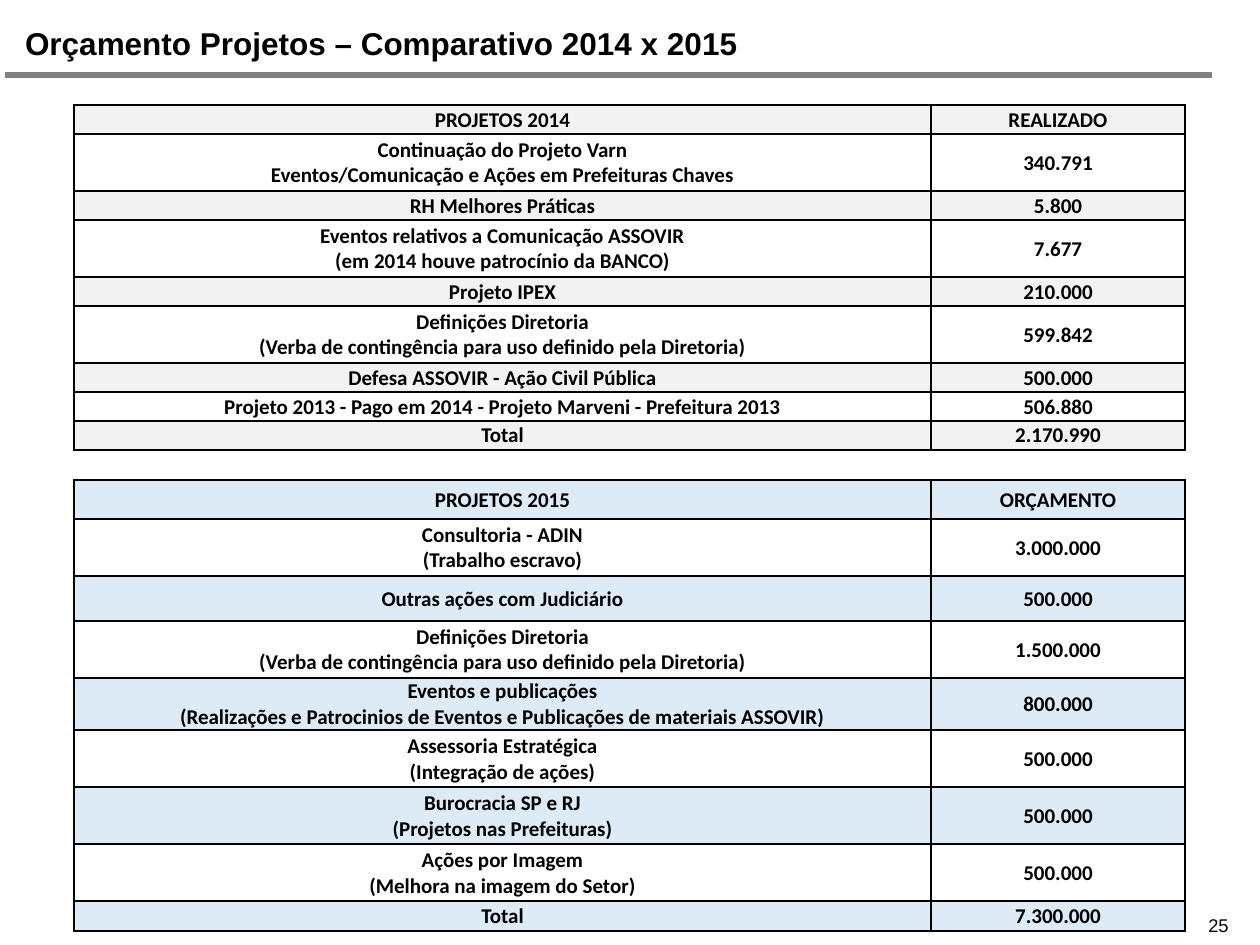
from lxml import etree
from pptx import Presentation
from pptx.dml.color import RGBColor
from pptx.enum.shapes import MSO_CONNECTOR
from pptx.enum.text import MSO_ANCHOR, PP_ALIGN
from pptx.oxml import parse_xml
from pptx.oxml.ns import nsdecls, qn
from pptx.util import Emu, Pt

TITLE = "Orçamento Projetos – Comparativo 2014 x 2015"
PAGE = "25"

# Each row: height in px, project lines, amount
PROJECTS_2014 = [
    (29, ["PROJETOS 2014"], "REALIZADO"),
    (57, ["Continuação do Projeto Varn",
          "Eventos/Comunicação e Ações em Prefeituras Chaves"], "340.791"),
    (29, ["RH Melhores Práticas"], "5.800"),
    (57, ["Eventos relativos a Comunicação ASSOVIR",
          "(em 2014 houve patrocínio da BANCO)"], "7.677"),
    (29, ["Projeto IPEX"], "210.000"),
    (57, ["Definições Diretoria",
          "(Verba de contingência para uso definido pela Diretoria)"], "599.842"),
    (29, ["Defesa ASSOVIR - Ação Civil Pública"], "500.000"),
    (29, ["Projeto 2013 - Pago em 2014 - Projeto Marveni - Prefeitura 2013"], "506.880"),
    (29, ["Total"], "2.170.990"),
]
PROJECTS_2015 = [
    (39, ["PROJETOS 2015"], "ORÇAMENTO"),
    (57, ["Consultoria - ADIN", "(Trabalho escravo)"], "3.000.000"),
    (45, ["Outras ações com Judiciário"], "500.000"),
    (57, ["Definições Diretoria",
          "(Verba de contingência para uso definido pela Diretoria)"], "1.500.000"),
    (52, ["Eventos e publicações",
          "(Realizações e Patrocinios de Eventos e Publicações de materiais ASSOVIR)"], "800.000"),
    (57, ["Assessoria Estratégica", "(Integração de ações)"], "500.000"),
    (57, ["Burocracia SP e RJ", "(Projetos nas Prefeituras)"], "500.000"),
    (57, ["Ações por Imagem", "(Melhora na imagem do Setor)"], "500.000"),
    (30, ["Total"], "7.300.000"),
]
# Top in px, band colour, rows
TABLES = [(105, "F2F2F2", PROJECTS_2014), (480, "DDEBF7", PROJECTS_2015)]
TABLE_LEFT, COLUMNS = 74, (857, 254)


def px(n):
    return Emu(int(n * 914400 / 126))


def rgb(value):
    return RGBColor.from_string(value)


def style(font, name, size, bold=False):
    font.name, font.size, font.bold = name, Pt(size), bold
    font.color.rgb = rgb("000000")


def add_borders(cell):
    tc_pr = cell._tc.get_or_add_tcPr()
    for i, side in enumerate(("lnL", "lnR", "lnT", "lnB")):
        tc_pr.insert(i, parse_xml(
            f'<a:{side} {nsdecls("a")} w="12700"><a:solidFill>'
            f'<a:srgbClr val="000000"/></a:solidFill></a:{side}>'))


def fill_cell(cell, lines, color):
    cell.text = "\v".join(lines)
    cell.vertical_anchor = MSO_ANCHOR.MIDDLE
    cell.margin_left = cell.margin_right = cell.margin_top = px(1)
    cell.margin_bottom = 0
    cell.fill.solid()
    cell.fill.fore_color.rgb = rgb(color)
    add_borders(cell)
    p = cell.text_frame.paragraphs[0]
    p.alignment = PP_ALIGN.CENTER
    for r in p.runs:
        style(r.font, "Calibri", 12, True)
    # Line breaks need the text size too
    for br in p._p.findall(qn("a:br")):
        etree.SubElement(br, qn("a:rPr"), sz="1200")


def add_budget_table(slide, top, band, rows):
    heights = [row[0] for row in rows]
    table = slide.shapes.add_table(len(rows), 2, px(TABLE_LEFT), px(top),
                                   px(sum(COLUMNS)), px(sum(heights))).table
    for column, width in zip(table.columns, COLUMNS):
        column.width = px(width)
    for i, (height, lines, amount) in enumerate(rows):
        table.rows[i].height = px(height)
        color = "FFFFFF" if i % 2 else band
        fill_cell(table.cell(i, 0), lines, color)
        fill_cell(table.cell(i, 1), [amount], color)


def main():
    prs = Presentation()
    prs.slide_width, prs.slide_height = px(1260), px(945)
    slide = prs.slides.add_slide(prs.slide_layouts[5])

    # Title
    title = slide.shapes.title
    title.left, title.top, title.width, title.height = px(25), px(21), px(1198), px(44)
    tf = title.text_frame
    tf.text = TITLE
    tf.margin_left = tf.margin_right = tf.margin_top = tf.margin_bottom = 0
    tf.vertical_anchor = MSO_ANCHOR.MIDDLE
    p = tf.paragraphs[0]
    p.alignment = PP_ALIGN.LEFT
    style(p.runs[0].font, "Arial", 18, True)

    # Rule under the title
    rule = slide.shapes.add_connector(MSO_CONNECTOR.STRAIGHT, px(5), px(75), px(1212), px(75))
    rule.line.color.rgb = rgb("808080")
    rule.line.width = Pt(3.2)
    etree.SubElement(rule._element.spPr, qn("a:effectLst"))

    # Budget tables
    for top, band, rows in TABLES:
        add_budget_table(slide, top, band, rows)

    # Page number
    tf = slide.shapes.add_textbox(px(1196), px(908), px(64), px(37)).text_frame
    tf.text = PAGE
    tf.word_wrap = True
    style(tf.paragraphs[0].runs[0].font, "Arial", 10.5)

    prs.save("out.pptx")


if __name__ == "__main__":
    main()
